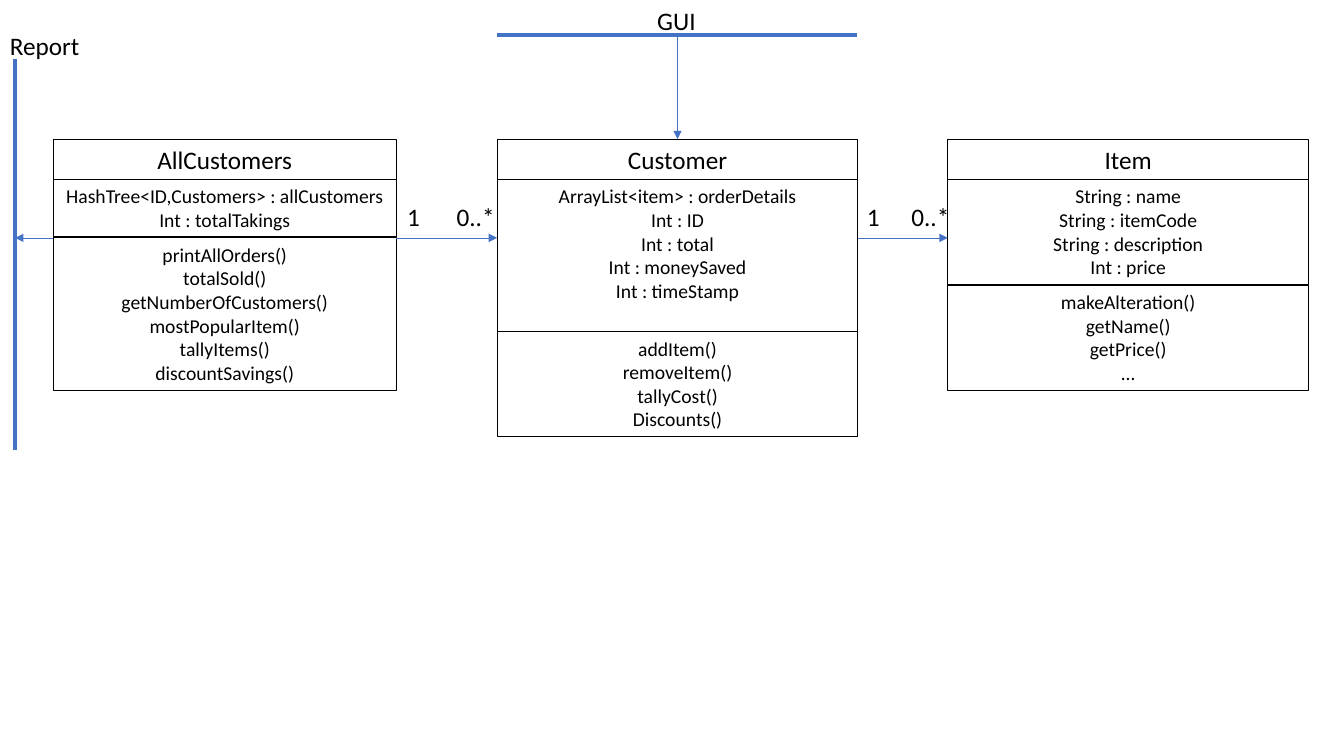
from lxml import etree
from pptx import Presentation
from pptx.dml.color import RGBColor
from pptx.enum.shapes import MSO_CONNECTOR, MSO_SHAPE
from pptx.enum.text import MSO_ANCHOR, PP_ALIGN
from pptx.oxml.ns import qn
from pptx.util import Inches, Pt

RECTANGLE = MSO_SHAPE.RECTANGLE
STRAIGHT = MSO_CONNECTOR.STRAIGHT
TOP = MSO_ANCHOR.TOP
LEFT, CENTER = PP_ALIGN.LEFT, PP_ALIGN.CENTER
BLACK, BLUE = "000000", "4472C4"

prs = Presentation()
prs.slide_width, prs.slide_height = Inches(13.33), Inches(7.5)
slide = prs.slides.add_slide(prs.slide_layouts[6])


def color(hex_string):
    return RGBColor.from_string(hex_string)


def add_text(text, left, top, width, height, size=18, align=LEFT, boxed=False):
    area = [Inches(v) for v in (left, top, width, height)]
    if boxed:
        box = slide.shapes.add_shape(RECTANGLE, *area)
        box.shadow.inherit = False
        box.fill.background()
        box.line.color.rgb = color(BLACK)
        box.line.width = Pt(0.75)
    else:
        box = slide.shapes.add_textbox(*area)
    frame = box.text_frame
    frame.word_wrap = True
    frame.vertical_anchor = TOP
    frame.text = text
    for paragraph in frame.paragraphs:
        paragraph.alignment = align
        paragraph.font.size = Pt(size)
        paragraph.font.name = "Calibri"
        paragraph.font.color.rgb = color(BLACK)
    return box


# Classes: left, width, name, then (top, height, members) per compartment
classes = [
    (0.53, 3.4, "AllCustomers", [
        (1.78, 0.57, ["HashTree<ID,Customers> : allCustomers", "Int : totalTakings"]),
        (2.36, 1.51, ["printAllOrders()", "totalSold()", "getNumberOfCustomers()",
                      "mostPopularItem()", "tallyItems()", "discountSavings()"])]),
    (4.93, 3.58, "Customer", [
        (1.78, 1.51, ["ArrayList<item> : orderDetails", "Int : ID", "Int : total",
                      "Int : moneySaved", "Int : timeStamp"]),
        (3.29, 1.04, ["addItem()", "removeItem()", "tallyCost()", "Discounts()"])]),
    (9.4, 3.58, "Item", [
        (1.78, 1.04, ["String : name", "String : itemCode",
                      "String : description", "Int : price"]),
        (2.83, 1.04, ["makeAlteration()", "getName()", "getPrice()", "…"])]),
]
class_headers = {}
for left, width, name, compartments in classes:
    class_headers[name] = add_text(name, left, 1.38, width, 0.4, align=CENTER, boxed=True)
    for top, height, members in compartments:
        add_text("\n".join(members), left, top, width, height, 14, CENTER, boxed=True)

# Multiplicities and interface labels
for text, left, top, width in [
    ("1", 3.94, 1.95, 0.33), ("0..*", 4.43, 1.95, 0.66),
    ("1", 8.5, 1.95, 0.33), ("0..*", 8.94, 1.95, 0.66),
    ("GUI", 6.42, 0, 0.76), ("Report", 0, 0.25, 0.98),
]:
    add_text(text, left, top, width, 0.4)

# Associations (thin arrows) and interface bars (thick lines)
for x1, y1, x2, y2, is_arrow, target in [
    (3.93, 2.36, 4.93, 2.36, True, None),
    (8.51, 2.36, 9.4, 2.36, True, None),
    (0.53, 2.36, 0.15, 2.36, True, None),
    (6.72, 0.35, 6.72, 1.38, True, "Customer"),
    (0.15, 0.59, 0.15, 4.46, False, None),
    (4.93, 0.35, 8.5, 0.35, False, None),
]:
    link = slide.shapes.add_connector(STRAIGHT, *[Inches(v) for v in (x1, y1, x2, y2)])
    link.line.color.rgb = color(BLUE)
    link.line.width = Pt(0.5 if is_arrow else 3)
    properties = link.element.spPr
    if is_arrow:
        etree.SubElement(properties.find(qn("a:ln")), qn("a:tailEnd"), type="triangle")
    etree.SubElement(properties, qn("a:effectLst"))
    if target:
        link.end_connect(class_headers[target], 0)

prs.save("out.pptx")
